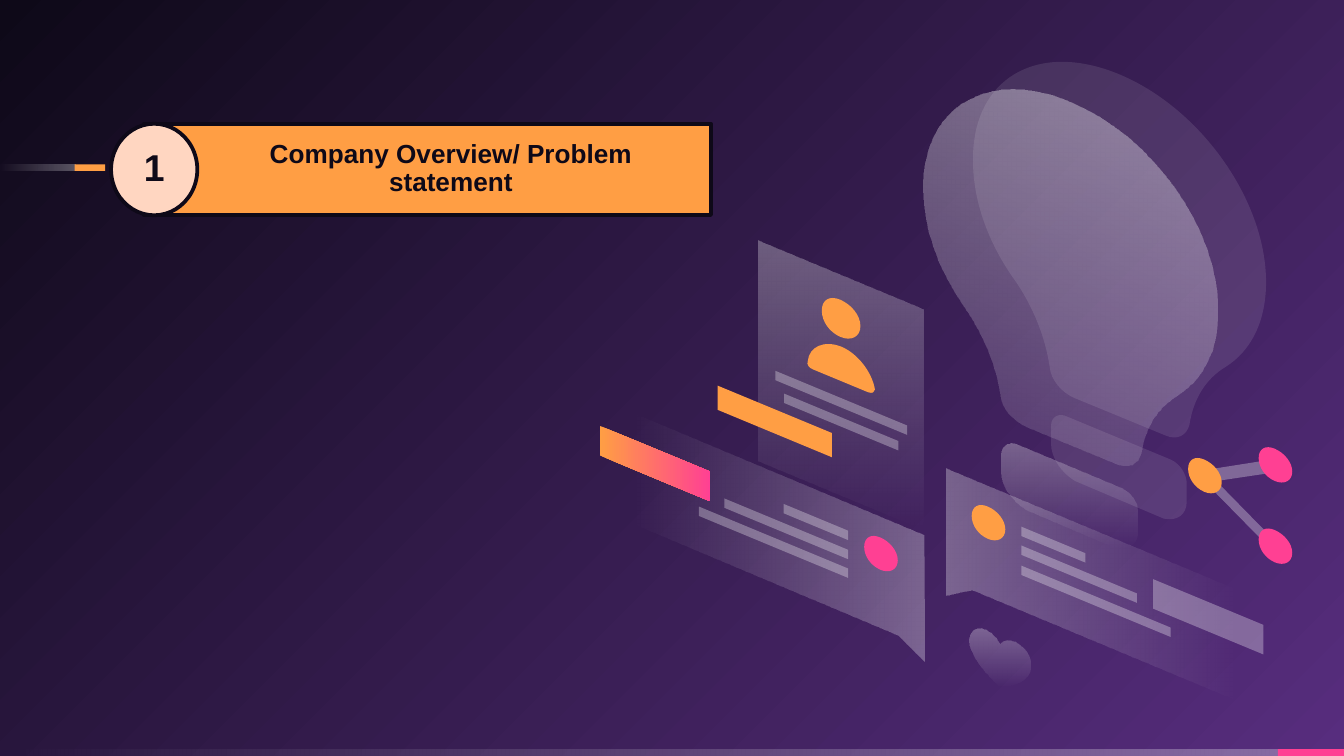
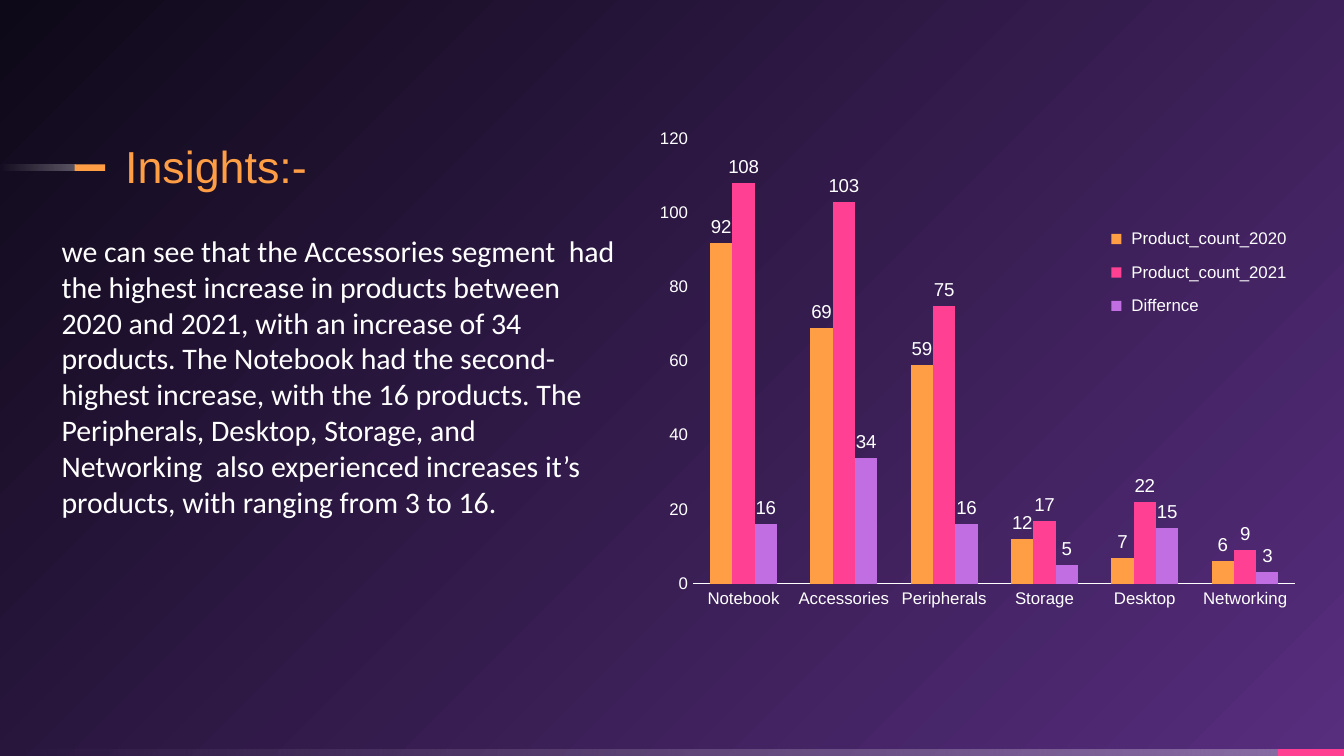
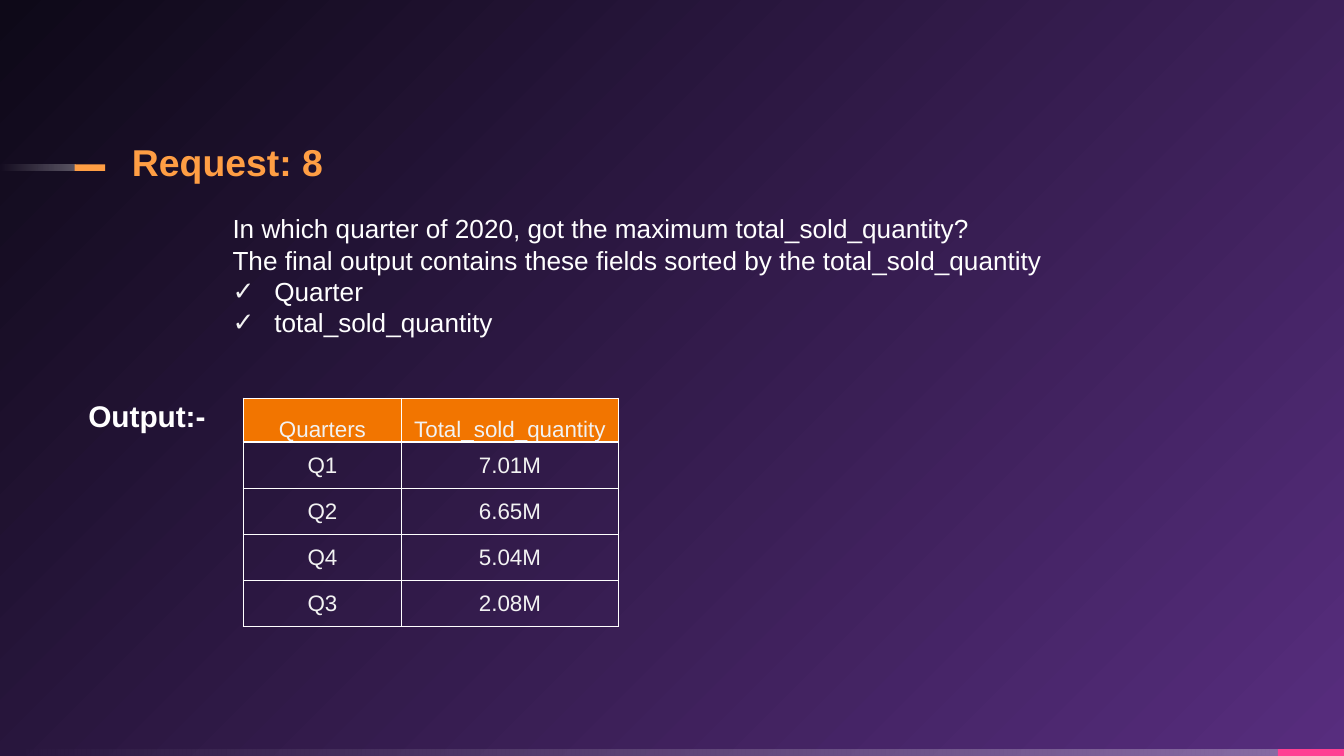
from dataclasses import dataclass
from typing import Any

from lxml import etree
from pptx import Presentation
from pptx.chart.data import CategoryChartData
from pptx.dml.color import RGBColor
from pptx.enum.chart import XL_CHART_TYPE, XL_LABEL_POSITION, XL_LEGEND_POSITION, XL_TICK_MARK
from pptx.enum.shapes import MSO_SHAPE
from pptx.enum.text import MSO_ANCHOR, MSO_AUTO_SIZE, PP_ALIGN
from pptx.oxml import parse_xml
from pptx.oxml.ns import nsdecls, qn
from pptx.util import Cm, Pt

RECTANGLE, OVAL = MSO_SHAPE.RECTANGLE, MSO_SHAPE.OVAL
TOP, MIDDLE, BOTTOM = MSO_ANCHOR.TOP, MSO_ANCHOR.MIDDLE, MSO_ANCHOR.BOTTOM
LEFT, CENTER = PP_ALIGN.LEFT, PP_ALIGN.CENTER
FIT_SHAPE, FIXED = MSO_AUTO_SIZE.SHAPE_TO_FIT_TEXT, MSO_AUTO_SIZE.NONE
COLUMNS, OUTSIDE_END = XL_CHART_TYPE.COLUMN_CLUSTERED, XL_LABEL_POSITION.OUTSIDE_END
LEGEND_RIGHT, NO_TICK = XL_LEGEND_POSITION.RIGHT, XL_TICK_MARK.NONE

WHITE, INK, PURPLE = "FFFFFF", "0E0918", "572D7E"
ORANGE, PINK, VIOLET, PEACH = "FF9E44", "FF4093", "C06EE2", "FFD6C1"
HEADER_ORANGE, PALE = "F27500", "F2F2F2"
GRID = Cm(2.54) / 100
SLOPE = 0.415

Outline = list[tuple[float, ...]]


@dataclass(frozen=True)
class Paint:
    """A solid colour or a two-stop gradient, with opacities in percent."""

    colours: tuple[str, ...]
    opacity: tuple[int, ...] = (100, 100)
    angle: int = 0


@dataclass(frozen=True)
class Box:
    """A place on the slide, in centimetres."""

    left: float
    top: float
    width: float
    height: float

    def lengths(self) -> tuple[int, ...]:
        """Return the four lengths for a shape call."""
        return Cm(self.left), Cm(self.top), Cm(self.width), Cm(self.height)


@dataclass(frozen=True)
class TextStyle:
    """The look of a run of text."""

    size: float
    colour: str = WHITE
    bold: bool = False
    font: str = "Arial"


@dataclass(frozen=True)
class Piece:
    """One outline of lines and cubic curves, moved and scaled on the drawing grid."""

    outline: Outline
    paint: Paint
    left: float = 0
    top: float = 0
    scale: float = 1


def fade(angle: int, start: int = 30, end: int = 0) -> Paint:
    """Return a white gradient that loses opacity."""
    return Paint((WHITE, WHITE), (start, end), angle)


def slanted(left: float, top: float, width: float, height: float) -> Outline:
    """Return a bar whose long sides follow the common slope."""
    drop = width * SLOPE
    return [(left, top), (left + width, top + drop),
            (left + width, top + drop + height), (left, top + height)]


SOLID_ORANGE, SOLID_PINK = Paint((ORANGE,)), Paint((PINK,))
GLASS, HAZE = Paint((WHITE,), (30,)), Paint((WHITE,), (10,))
BULB: Outline = [
    (912, 273), (931, 261, 942, 239, 942, 210), (942, 149, 893, 80, 832, 55),
    (771, 30, 723, 59, 724, 120), (724, 149, 735, 180, 754, 207),
    (769, 228, 778, 252, 781, 273), (782, 283, 790, 292, 799, 296), (867, 324),
    (876, 328, 883, 324, 885, 316), (888, 297, 897, 282, 912, 273)]
SOCKET: Outline = [
    (883, 373), (883, 360), (883, 353, 878, 345, 871, 342), (794, 310),
    (788, 307, 782, 310, 782, 317), (782, 330), (782, 341, 790, 352, 800, 358),
    (866, 386), (876, 388, 883, 383, 883, 373)]
DOT: Outline = [
    (0, 8), (0, 15, 5, 22, 12, 25), (19, 28, 25, 25, 25, 18),
    (25, 11, 19, 4, 12, 1), (5, -2, 0, 1, 0, 8)]
LEFT_BUBBLE: Outline = [(687, 398), (470, 307), (470, 389), (668, 472), (688, 492)]
RIGHT_BUBBLE: Outline = [(704, 349), (921, 439), (921, 521), (723, 439), (704, 443)]
LINKS: Outline = [(946, 342), (952, 351), (905, 358), (953, 407), (948, 411), (889, 351)]
SHOULDERS: Outline = [
    (626, 258), (613, 253, 602, 258, 601, 269), (600, 271, 602, 274, 605, 275),
    (646, 292), (649, 293, 651, 292, 651, 290), (649, 277, 638, 263, 626, 258)]
HEART: Outline = [(744, 511), (700, 470, 732, 455, 744, 479), (756, 465, 789, 507, 744, 511)]
BANNER: Outline = [(529, 160), (147, 160), (107, 126), (147, 92), (529, 92)]

ILLUSTRATION = [
    Piece(BULB, HAZE),
    Piece(SOCKET, HAZE),
    Piece(BULB, fade(110, 40, 10), -36.5, 21),
    Piece(SOCKET, fade(90), -36.5, 21),
    Piece(LEFT_BUBBLE, fade(180)),
    Piece(slanted(446.5, 317, 82, 22), Paint((ORANGE, PINK))),
    *(Piece(slanted(631 - width, top, width, 7), GLASS)
      for top, width in ((375, 48), (371, 92), (377, 111))),
    Piece(DOT, SOLID_PINK, 643, 399),
    Piece(RIGHT_BUBBLE, fade(0)),
    Piece(slanted(858, 431, 82, 22), GLASS),
    *(Piece(slanted(760, top, width, 7), GLASS)
      for top, width in ((392, 47.5), (406, 86), (421, 111))),
    Piece(DOT, SOLID_ORANGE, 723, 376),
    Piece(LINKS, GLASS),
    Piece(DOT, SOLID_PINK, 936.5, 333),
    Piece(DOT, SOLID_PINK, 936.5, 393.5),
    Piece(DOT, SOLID_ORANGE, 884, 341),
    Piece(slanted(564.5, 179, 123, 164), fade(90)),
    Piece(slanted(577, 276, 98, 7), GLASS),
    Piece(slanted(583.5, 293, 85, 7), GLASS),
    Piece(slanted(534, 287, 85, 18), SOLID_ORANGE),
    Piece(DOT, SOLID_ORANGE, 611.5, 222, 1.15),
    Piece(SHOULDERS, SOLID_ORANGE),
    Piece(HEART, fade(90)),
]

CATEGORIES = ["Notebook", "Accessories", "Peripherals", "Storage", "Desktop", "Networking"]
SERIES = [
    (" Product_count_2020", ORANGE, (92, 69, 59, 12, 7, 6)),
    (" Product_count_2021", PINK, (108, 103, 75, 17, 22, 9)),
    (" Differnce", VIOLET, (16, 34, 16, 5, 15, 3)),
]
INSIGHT = (
    "we can see that the Accessories segment  had the highest increase in products between "
    "2020 and 2021, with an increase of 34 products. The Notebook had the second-highest "
    "increase, with the 16 products. The Peripherals, Desktop, Storage, and Networking  also "
    "experienced increases it’s products, with ranging from 3 to 16.")
QUESTION = [
    "In which quarter of 2020, got the maximum total_sold_quantity?",
    "The final output contains these fields sorted by the total_sold_quantity"]
FIELDS = ["Quarter", "total_sold_quantity"]
QUARTER_ROWS = [("Quarters", "Total_sold_quantity"), ("Q1", "7.01M"), ("Q2", "6.65M"),
                ("Q4", "5.04M"), ("Q3", "2.08M")]


def rgb(colour: str) -> RGBColor:
    """Turn a hex string into a colour."""
    return RGBColor.from_string(colour)


def apply_format(target: Any, values: dict[str, Any]) -> None:
    """Set each named attribute of the target."""
    for name, value in values.items():
        setattr(target, name, value)


def fill_with(fill: Any, holder: Any, paint: Paint) -> None:
    """Fill with a paint, adding the opacities to the holder's colours."""
    if len(paint.colours) == 1:
        fill.solid()
        fill.fore_color.rgb = rgb(paint.colours[0])
    else:
        fill.gradient()
        fill.gradient_angle = (360 - paint.angle) % 360
        for stop, colour in zip(fill.gradient_stops, paint.colours):
            stop.color.rgb = rgb(colour)
    for colour_node, percent in zip(holder.iter(qn("a:srgbClr")), paint.opacity):
        if percent < 100:
            etree.SubElement(colour_node, qn("a:alpha")).set("val", str(percent * 1000))


def finish(shape: Any, paint: Paint, edge: str | None = None) -> None:
    """Give a shape its fill and edge and take its shadow away."""
    shape.shadow.inherit = False
    fill_with(shape.fill, shape.element.spPr, paint)
    if edge:
        shape.line.color.rgb = rgb(edge)
        shape.line.width = Pt(2)
    else:
        shape.line.fill.background()


def add_preset(shapes: Any, preset: Any, box: Box, paint: Paint, edge: str | None = None) -> Any:
    """Draw a preset shape."""
    shape = shapes.add_shape(preset, *box.lengths())
    finish(shape, paint, edge)
    return shape


def add_piece(shapes: Any, piece: Piece, edge: str | None = None) -> Any:
    """Draw one closed outline, joining each three curve knots into a cubic curve."""
    knots = [(round((piece.left + segment[i] * piece.scale) * GRID),
              round((piece.top + segment[i + 1] * piece.scale) * GRID))
             for segment in piece.outline for i in range(0, len(segment), 2)]
    builder = shapes.build_freeform(*knots[0])
    builder.add_line_segments(knots[1:], close=len(piece.outline[-1]) == 2)
    shape = builder.convert_to_shape()
    lines = iter(list(shape.element.iter(qn("a:lnTo"))))
    for segment in piece.outline[1:]:
        first = next(lines)
        if len(segment) == 6:
            first.tag = qn("a:cubicBezTo")
            for follower in (next(lines), next(lines)):
                first.append(follower[0])
                follower.getparent().remove(follower)
    finish(shape, piece.paint, edge)
    return shape


def set_bullet(paragraph: Any, bulleted: bool) -> None:
    """Give a paragraph a check mark or no bullet at all."""
    properties = paragraph._p.get_or_add_pPr()
    indent = Cm(0.79) if bulleted else 0
    properties.set("marL", str(indent))
    properties.set("indent", str(-indent))
    if bulleted:
        bullet_colour = etree.SubElement(properties, qn("a:buClr"))
        etree.SubElement(bullet_colour, qn("a:srgbClr")).set("val", PALE)
        etree.SubElement(properties, qn("a:buChar")).set("char", "✓")
    else:
        etree.SubElement(properties, qn("a:buNone"))


def write(frame: Any, lines: list[str], style: TextStyle, align: Any = LEFT,
          spacing: float = 1.0, bulleted: tuple[str, ...] = ()) -> None:
    """Write one paragraph a line."""
    for index, line in enumerate(lines):
        paragraph = frame.add_paragraph() if index else frame.paragraphs[0]
        set_bullet(paragraph, line in bulleted)
        apply_format(paragraph, {"alignment": align, "line_spacing": spacing,
                                 "space_before": Pt(0)})
        run = paragraph.add_run()
        run.text = line
        style_font(run.font, style)


def style_font(font: Any, style: TextStyle) -> None:
    """Give a font its face, size, weight and colour."""
    apply_format(font, {"name": style.font, "size": Pt(style.size), "bold": style.bold})
    font.color.rgb = rgb(style.colour)


def place(holder: Any, box: Box) -> Any:
    """Move a text holder and return its frame."""
    apply_format(holder, dict(zip(("left", "top", "width", "height"), box.lengths())))
    apply_format(holder.text_frame, {"word_wrap": True, "auto_size": FIT_SHAPE,
                                     "vertical_anchor": TOP})
    return holder.text_frame


def decorate_master(deck: Any, slide: Any) -> None:
    """Give the master its background, footer band and title dash."""
    master = deck.slide_master
    fill_with(master.background.fill, master.element, Paint((PURPLE, INK)))
    direction = master.element.cSld.find(".//" + qn("a:lin"))
    direction.getparent().replace(direction, parse_xml(
        f'<a:path {nsdecls("a")} path="circle">'
        '<a:fillToRect l="100000" t="100000" r="0" b="0"/></a:path>'))
    bands = [
        (Box(0, 14.16, 24.23, 0.13), fade(180)),
        (Box(24.15, 14.16, 1.25, 0.13), SOLID_PINK),
        (Box(0, 3.11, 1.42, 0.12), fade(180)),
        (Box(1.41, 3.11, 0.58, 0.12), SOLID_ORANGE),
    ]
    for number, (box, paint) in enumerate(bands, start=20):
        band = add_preset(slide.shapes, RECTANGLE, box, paint).element
        band.nvSpPr.cNvPr.id = number
        master.element.cSld.spTree.append(band)


def build_section(slide: Any) -> None:
    """Shape the title as a banner and add its number and the illustration."""
    title = slide.shapes.title
    banner = add_piece(slide.shapes, Piece(BANNER, SOLID_ORANGE), INK).element
    title.element.replace(title.element.spPr, banner.spPr)
    banner.getparent().remove(banner)
    apply_format(title.text_frame, {
        "word_wrap": True, "auto_size": FIXED, "vertical_anchor": MIDDLE,
        "margin_left": Cm(1.23), "margin_right": Cm(0.34),
        "margin_top": Cm(0.2), "margin_bottom": Cm(0.2)})
    write(title.text_frame, ["Company Overview/ Problem statement"],
          TextStyle(14, INK, True), CENTER, 0.9)
    badge = add_preset(slide.shapes, OVAL, Box(2.1, 2.34, 1.63, 1.73), Paint((PEACH,)), INK)
    badge.text_frame.margin_bottom = Cm(0.24)
    write(badge.text_frame, ["1"], TextStyle(20, INK, True), CENTER)
    drawing = slide.shapes.add_group_shape().shapes
    for piece in ILLUSTRATION:
        add_piece(drawing, piece)


def manual_layout(x: float, y: float, width: float, height: float, inner: bool = False) -> Any:
    """Return a chart layout, given in percent of the chart."""
    target = '<c:layoutTarget val="inner"/>' if inner else ""
    return parse_xml(
        f'<c:layout {nsdecls("c")}><c:manualLayout>{target}'
        '<c:xMode val="edge"/><c:yMode val="edge"/>'
        f'<c:x val="{x / 100:.3f}"/><c:y val="{y / 100:.3f}"/>'
        f'<c:w val="{width / 100:.3f}"/><c:h val="{height / 100:.3f}"/>'
        '</c:manualLayout></c:layout>')


def add_product_chart(slide: Any) -> None:
    """Draw the clustered columns of product counts."""
    data = CategoryChartData()
    data.categories = CATEGORIES
    for name, _, values in SERIES:
        data.add_series(name, values)
    chart = slide.shapes.add_chart(COLUMNS, *Box(11.89, 2.44, 12.9, 9.4).lengths(), data).chart
    apply_format(chart, {"has_title": False, "has_legend": True})
    style_font(chart.font, TextStyle(10))
    plot = chart.plots[0]
    apply_format(plot, {"gap_width": 150, "overlap": 0, "vary_by_categories": False})
    for series, (_, colour, _) in zip(plot.series, SERIES):
        series.format.fill.solid()
        series.format.fill.fore_color.rgb = rgb(colour)
        apply_format(series.data_labels, {"show_value": True, "position": OUTSIDE_END})
        style_font(series.data_labels.font, TextStyle(10))
    for axis in (chart.category_axis, chart.value_axis):
        apply_format(axis, {"major_tick_mark": NO_TICK, "minor_tick_mark": NO_TICK,
                            "has_major_gridlines": False})
        style_font(axis.tick_labels.font, TextStyle(9))
    chart.category_axis.format.line.color.rgb = rgb(WHITE)
    chart.category_axis.format.line.width = Pt(0.75)
    chart.value_axis.format.line.fill.background()
    apply_format(chart.value_axis, {"minimum_scale": 0, "maximum_scale": 120, "major_unit": 20})
    apply_format(chart.legend, {"position": LEGEND_RIGHT, "include_in_layout": True})
    style_font(chart.legend.font, TextStyle(9))
    plot_area = chart.element.find(".//" + qn("c:plotArea"))
    legend = chart.element.find(".//" + qn("c:legend"))
    for part in (plot_area, legend):
        for layout in part.findall(qn("c:layout")):
            part.remove(layout)
    plot_area.insert(0, manual_layout(9.4, 1.9, 88.2, 89.5, inner=True))
    legend.find(qn("c:legendPos")).addnext(manual_layout(69, 17.3, 29, 23))


def build_insights(slide: Any) -> None:
    """Fill the insights slide."""
    title = place(slide.shapes.title, Box(2.11, 2.49, 4.04, 1.27))
    write(title, ["Insights:-"], TextStyle(24, ORANGE))
    body = place(slide.placeholders[1], Box(0.91, 4.27, 10.97, 5.74))
    write(body, [INSIGHT], TextStyle(16, font="Calibri"))
    add_product_chart(slide)


def add_borders(cell: Any) -> None:
    """Draw a white line on each side of a cell."""
    properties = cell._tc.get_or_add_tcPr()
    for side in ("lnL", "lnR", "lnT", "lnB"):
        properties.append(parse_xml(
            f'<a:{side} {nsdecls("a")} w="{Pt(1)}"><a:solidFill>'
            f'<a:srgbClr val="{WHITE}"/></a:solidFill></a:{side}>'))


def add_quarter_table(slide: Any) -> None:
    """Draw the table of quantities sold in each quarter."""
    box = Box(4.6, 7.53, 7.09, 4.3)
    table = slide.shapes.add_table(len(QUARTER_ROWS), 2, *box.lengths()).table
    apply_format(table, {"first_row": False, "horz_banding": False})
    for column, width in zip(table.columns, (2.99, 4.1)):
        column.width = Cm(width)
    for row_index, row in enumerate(QUARTER_ROWS):
        is_header = row_index == 0
        table.rows[row_index].height = Cm(0.83 if is_header else 0.87)
        for column_index, text in enumerate(row):
            cell = table.cell(row_index, column_index)
            apply_format(cell, {"margin_left": Cm(0.02), "margin_right": Cm(0.02),
                                "margin_top": Cm(0.02), "margin_bottom": 0,
                                "vertical_anchor": BOTTOM if is_header else MIDDLE})
            write(cell.text_frame, [text], TextStyle(12, PALE), CENTER)
            add_borders(cell)
            if is_header:
                cell.fill.solid()
                cell.fill.fore_color.rgb = rgb(HEADER_ORANGE)
            else:
                cell.fill.background()


def build_request(slide: Any) -> None:
    """Fill the request slide."""
    title = place(slide.shapes.title, Box(2.24, 2.51, 4.19, 1.12))
    write(title, ["Request: 8"], TextStyle(20, ORANGE, True))
    body = place(slide.placeholders[1], Box(4.14, 3.28, 16.08, 3.25))
    body.margin_top = Cm(0.74)
    write(body, QUESTION + FIELDS, TextStyle(14), bulleted=tuple(FIELDS))
    output_box = Box(1.42, 7.4, 2.75, 0.94)
    output = place(slide.shapes.add_textbox(*output_box.lengths()), output_box)
    write(output, ["Output:-"], TextStyle(16, bold=True))
    add_quarter_table(slide)


def main() -> None:
    """Build and save the deck."""
    deck = Presentation()
    apply_format(deck, {"slide_width": Cm(25.4), "slide_height": Cm(14.29)})
    title_only, title_and_body = deck.slide_layouts[5], deck.slide_layouts[1]
    section = deck.slides.add_slide(title_only)
    decorate_master(deck, section)
    build_section(section)
    build_insights(deck.slides.add_slide(title_and_body))
    build_request(deck.slides.add_slide(title_and_body))
    deck.save("out.pptx")


if __name__ == "__main__":
    main()
